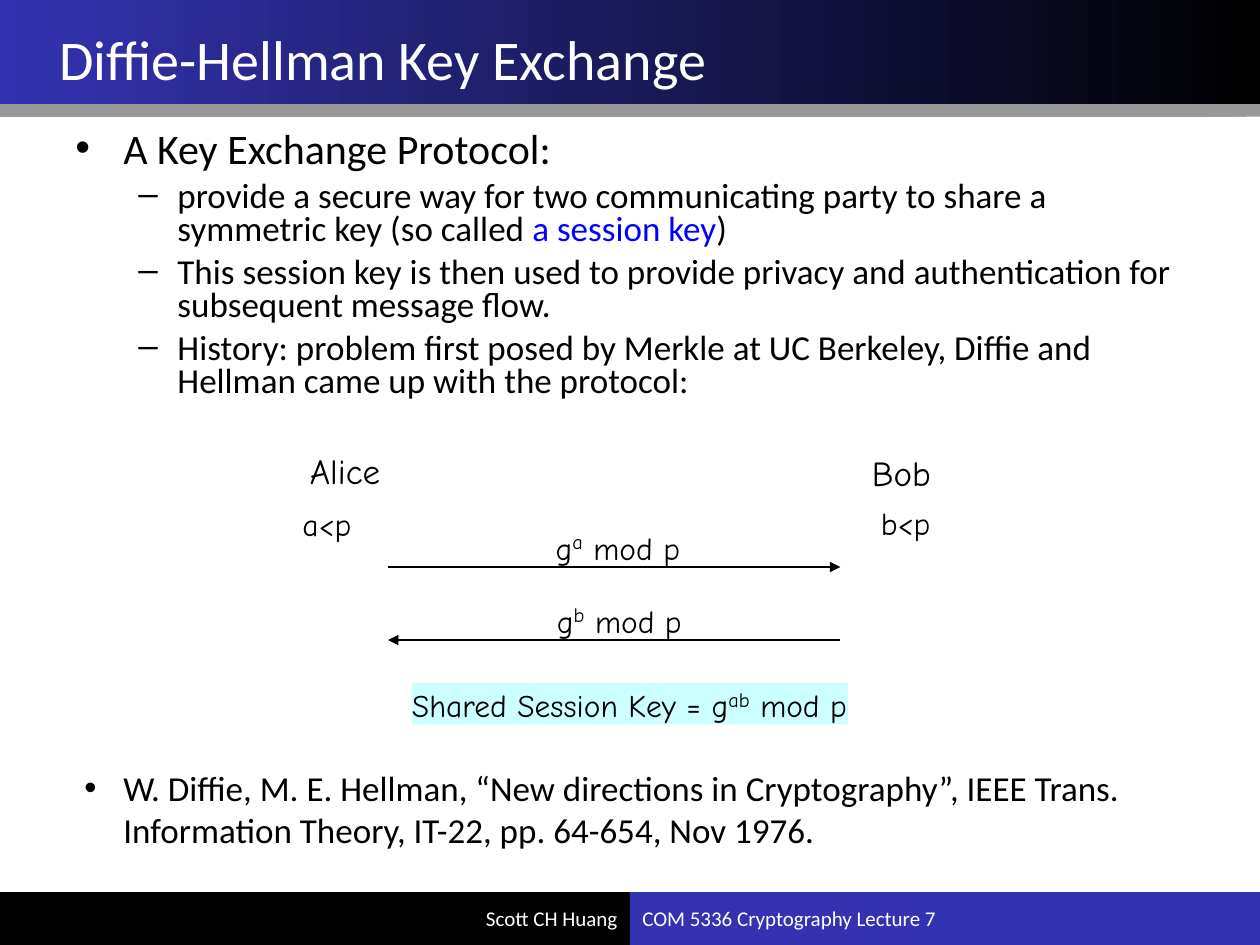
"""Build the Diffie-Hellman key exchange slide."""
import pptx
import pptx.dml.color
import pptx.enum.shapes
import pptx.enum.text
import pptx.oxml
import pptx.oxml.ns
import pptx.util

Inches, Pt = pptx.util.Inches, pptx.util.Pt
RGB = pptx.dml.color.RGBColor.from_string
ALIGN, ANCHOR = pptx.enum.text.PP_ALIGN, pptx.enum.text.MSO_ANCHOR
RECT = pptx.enum.shapes.MSO_SHAPE.RECTANGLE
NS = pptx.oxml.ns.nsdecls("a")
COLORS = {"black": "000000", "white": "FFFFFF", "navy": "3333B2", "blue": "0000FF", "cyan": "CCFFFF"}


def write(p, text, size=20, font="Calibri", color="black", raised=False):
    r = p.add_run()
    r.text = text
    r.font.size, r.font.name = Pt(size), font
    r.font.color.rgb = RGB(COLORS[color])
    if raised:
        r.font._element.set("baseline", "30000")


def set_bullet(p, char, left, hang):
    pPr = p._p.get_or_add_pPr()
    pPr.set("marL", str(Inches(left)))
    pPr.set("indent", str(-Inches(hang)))
    for xml in (f'<a:buClr {NS}><a:srgbClr val="{COLORS["black"]}"/></a:buClr>',
                f'<a:buFont {NS} typeface="Arial"/>', f'<a:buChar {NS} char="{char}"/>'):
        pPr.append(pptx.oxml.parse_xml(xml))


prs = pptx.Presentation()
prs.slide_width, prs.slide_height = Inches(10), Inches(7.5)
s = prs.slides.add_slide(prs.slide_layouts[5])

header = s.shapes.add_shape(RECT, 0, 0, Inches(10), Inches(0.83))
header.line.fill.background()
header.fill.gradient()
header.fill.gradient_angle = 180
for stop, color in zip(header.fill.gradient_stops, ("black", "navy")):
    stop.color.rgb = RGB(COLORS[color])
header._element.spPr.append(pptx.oxml.parse_xml(
    f'<a:effectLst {NS}><a:outerShdw blurRad="0" dist="{Pt(7)}" dir="5400000" algn="t" rotWithShape="0">'
    f'<a:srgbClr val="{COLORS["black"]}"><a:alpha val="40000"/></a:srgbClr></a:outerShdw></a:effectLst>'))

for left, color, text, align in (
    (0, "black", "Scott CH Huang", ALIGN.RIGHT),
    (5, "navy", "COM 5336 Cryptography Lecture 7", ALIGN.LEFT),
):
    sp = s.shapes.add_shape(RECT, Inches(left), Inches(7.08), Inches(5), Inches(0.42))
    sp.shadow.inherit = False
    sp.fill.solid()
    sp.fill.fore_color.rgb = RGB(COLORS[color])
    sp.line.fill.background()
    sp.text_frame.vertical_anchor = ANCHOR.MIDDLE
    p = sp.text_frame.paragraphs[0]
    p.alignment = align
    write(p, text, size=12, color="white")

title = s.shapes.title
title.left, title.top, title.width, title.height = Inches(0.25), Inches(0.17), Inches(5.58), Inches(0.58)
title.element.getparent().append(title.element)
title.text_frame.vertical_anchor = ANCHOR.MIDDLE
p = title.text_frame.paragraphs[0]
p.alignment = ALIGN.CENTER
write(p, "Diffie-Hellman Key Exchange", size=32, color="white")

tf = s.shapes.add_textbox(Inches(0.5), Inches(1), Inches(9.08), Inches(2.83)).text_frame
tf.word_wrap = True
p = tf.paragraphs[0]
set_bullet(p, "•", 0.38, 0.38)
p.line_spacing = 0.8
write(p, "A Key Exchange Protocol:", size=24)
for runs in (
    [("provide a secure way for two communicating party to share a symmetric key (so called ", "black"),
     ("a session key", "blue"), (")", "black")],
    [("This session key is then used to provide privacy and authentication for subsequent message flow.", "black")],
    [("History: problem first posed by Merkle at UC Berkeley, Diffie and Hellman came up with the protocol:",
      "black")],
):
    p = tf.add_paragraph()
    p.level = 1
    set_bullet(p, "–", 0.81, 0.31)
    p.line_spacing, p.space_before = 0.8, Pt(5)
    for text, color in runs:
        write(p, text, color=color)

for left, top, width, height, size, base, power, rest, fill in (
    (2.46, 3.57, 0.56, 0.33, 20, "Alice", "", "", None),
    (6.92, 3.58, 0.47, 0.33, 20, "Bob", "", "", None),
    (2.4, 4.01, 0.42, 0.3, 18, "a<p", "", "", None),
    (6.99, 4, 0.42, 0.3, 18, "b<p", "", "", None),
    (4.41, 4.17, 0.99, 0.33, 18, "g", "a", " mod p", None),
    (4.42, 4.75, 0.99, 0.33, 18, "g", "b", " mod p", None),
    (3.27, 5.42, 3.46, 0.33, 18, "Shared Session Key = g", "ab", " mod p", "cyan"),
):
    sp = s.shapes.add_textbox(Inches(left), Inches(top), Inches(width), Inches(height))
    if fill:
        sp.fill.solid()
        sp.fill.fore_color.rgb = RGB(COLORS[fill])
    tf = sp.text_frame
    tf.margin_left = tf.margin_right = tf.margin_top = tf.margin_bottom = 0
    tf.word_wrap = False
    tf.auto_size = pptx.enum.text.MSO_AUTO_SIZE.SHAPE_TO_FIT_TEXT
    p = tf.paragraphs[0]
    write(p, base, size=size, font="Comic Neue")
    if power:
        write(p, power, font="Comic Neue", raised=True)
        write(p, rest, size=size, font="Comic Neue")

for start, end, y in ((3.08, 6.67, 4.5), (6.67, 3.08, 5.08)):
    arrow = s.shapes.add_connector(pptx.enum.shapes.MSO_CONNECTOR.STRAIGHT,
                                   Inches(start), Inches(y), Inches(end), Inches(y))
    arrow.line.color.rgb = RGB(COLORS["black"])
    arrow.line.width = Pt(1.5)
    arrow.line._get_or_add_ln().append(pptx.oxml.parse_xml(f'<a:tailEnd {NS} type="triangle"/>'))
    arrow._element.spPr.append(pptx.oxml.parse_xml(f"<a:effectLst {NS}/>"))

tf = s.shapes.add_textbox(Inches(0.67), Inches(6.08), Inches(9.17), Inches(0.67)).text_frame
tf.margin_left = tf.margin_right = tf.margin_top = tf.margin_bottom = 0
tf.word_wrap = True
p = tf.paragraphs[0]
set_bullet(p, "•", 0.31, 0.31)
write(p, "W. Diffie, M. E. Hellman, “New directions in Cryptography”, IEEE Trans. "
         "Information Theory, IT-22, pp. 64-654, Nov 1976.")

prs.save("out.pptx")
